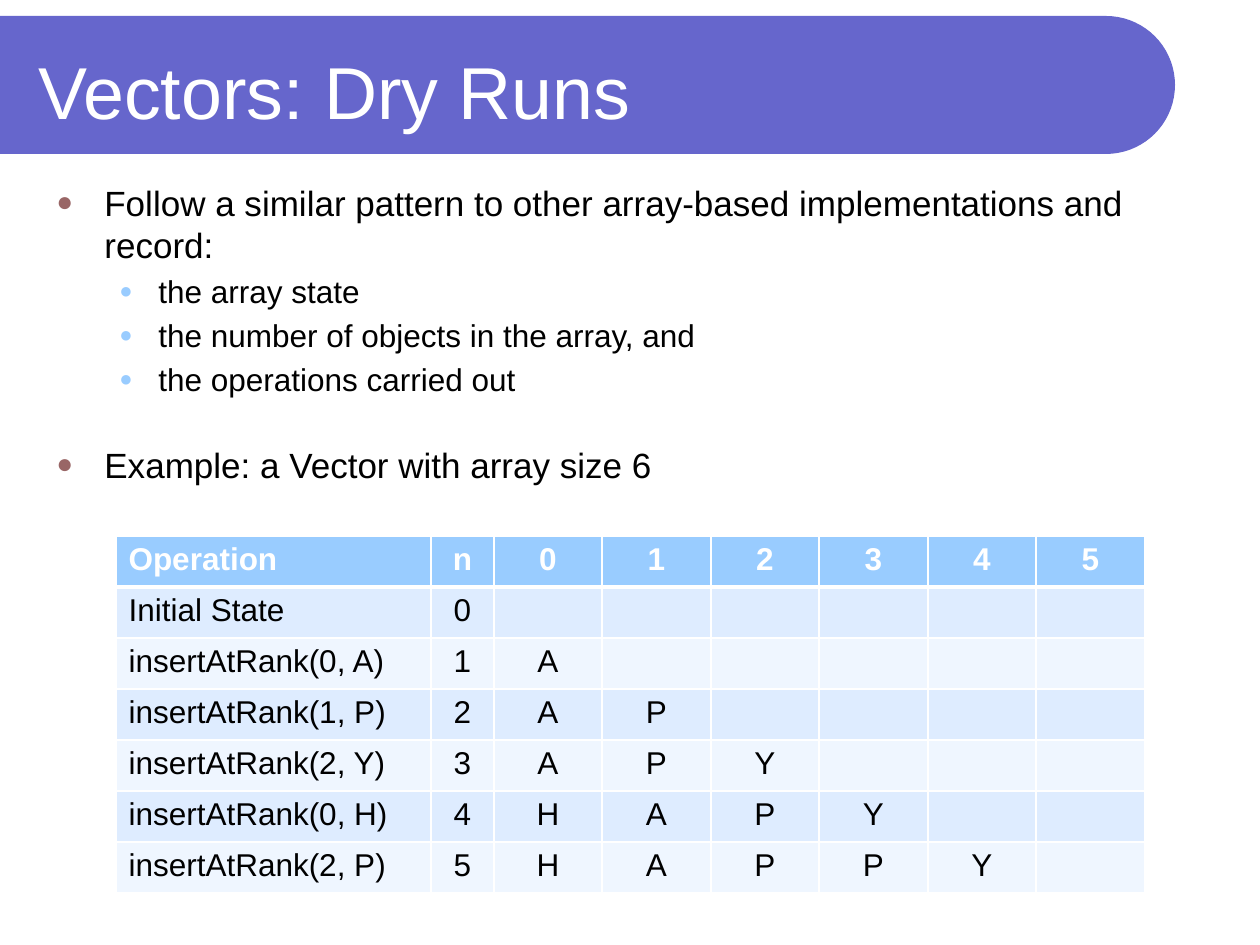
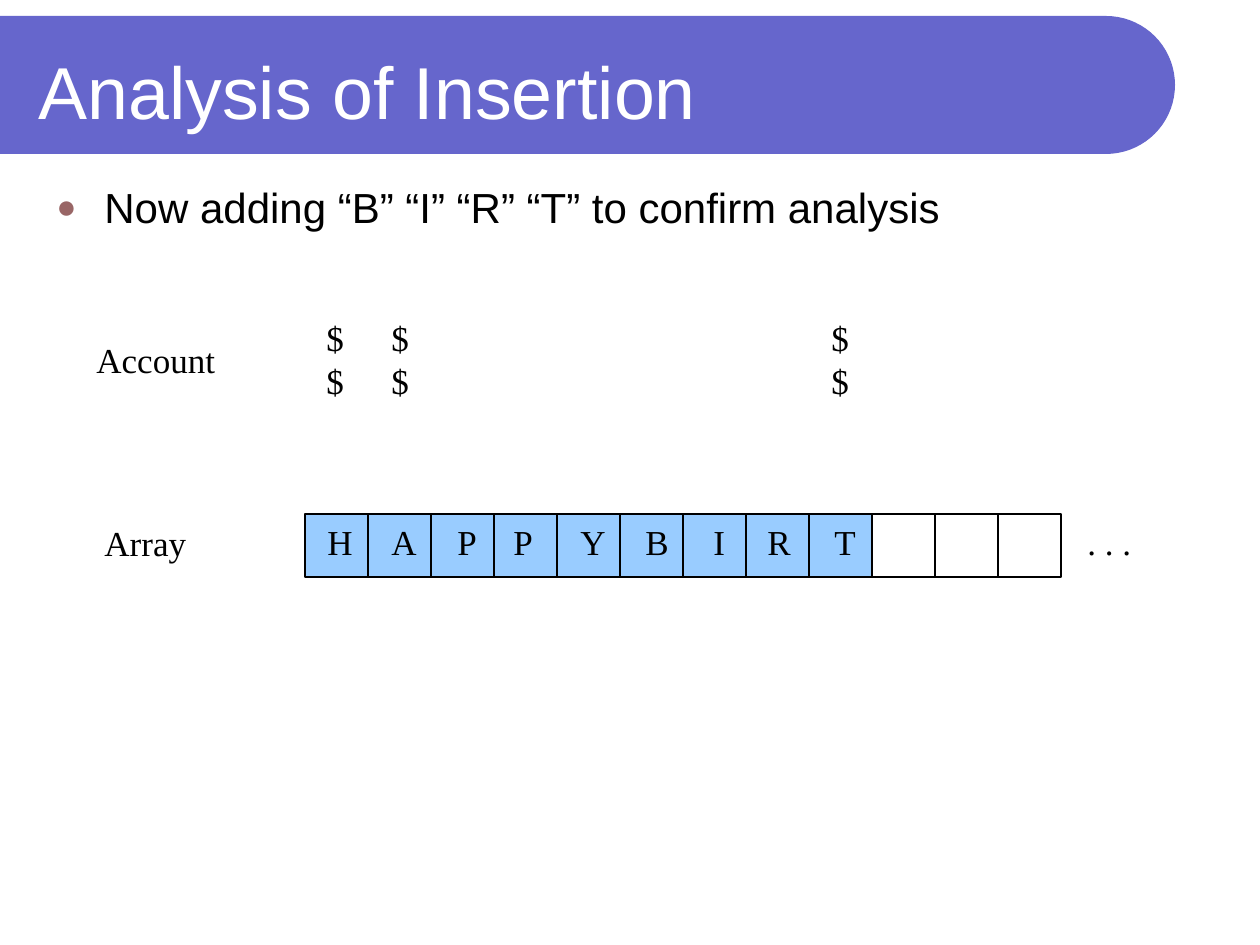
"""Build two slides on vector dry runs and the analysis of insertion."""
import math

from lxml import etree
from pptx import Presentation, util as u
from pptx.dml.color import RGBColor
from pptx.enum import shapes, text
from pptx.oxml import ns

C = {"band": "6666CC", "white": "FFFFFF", "black": "000000", "bullet": "996666",
     "sky": "99CCFF", "row_odd": "DEECFF", "row_even": "EFF6FF"}
SCALE = 914400 / 126
SANS, SERIF = "Arial", "Times New Roman"
BULLETS = [{"marL": 48, "indent": -48, "color": "bullet", "size": 80},
           {"marL": 102, "indent": -39, "color": "sky", "size": 70}]


def px(n):
    return u.Emu(round(n * SCALE))


def add_text(s, box, paras, font, color="black", before=0, spacing=None, **frame):
    tf = s.shapes.add_textbox(*map(px, box)).text_frame
    for key, value in {"word_wrap": True, **frame}.items():
        setattr(tf, key, value)
    for i, (line, size, level, *gap) in enumerate(paras):
        p = tf.add_paragraph() if i else tf.paragraphs[0]
        r = p.add_run()
        r.text = line
        for key, value in {"size": u.Pt(size), "name": font}.items():
            setattr(r.font, key, value)
        r.font.color.rgb = RGBColor.from_string(C[color])
        if spacing:
            p.line_spacing = spacing
        pPr = p._p.get_or_add_pPr()
        percent = gap[0] if gap else before
        if percent:
            spc = etree.SubElement(pPr, ns.qn("a:spcBef"))
            etree.SubElement(spc, ns.qn("a:spcPct"), val=str(percent * 1000))
        if level is not None:
            b = BULLETS[level]
            p.level = level
            for key in ("marL", "indent"):
                pPr.set(key, str(px(b[key])))
            clr = etree.SubElement(pPr, ns.qn("a:buClr"))
            etree.SubElement(clr, ns.qn("a:srgbClr"), val=C[b["color"]])
            etree.SubElement(pPr, ns.qn("a:buSzPct"), val=str(b["size"] * 1000))
            etree.SubElement(pPr, ns.qn("a:buFont"), typeface=font)
            etree.SubElement(pPr, ns.qn("a:buChar"), char="●")


prs = Presentation()
prs.slide_width, prs.slide_height = px(1260), px(945)

pages = [
    ("Vectors: Dry Runs", [
        ("Follow a similar pattern to other array-based implementations and record:", 20, 0),
        ("the array state", 18, 1),
        ("the number of objects in the array, and", 18, 1),
        ("the operations carried out", 18, 1),
        ("Example: a Vector with array size 6", 20, 0, 130)]),
    ("Analysis of Insertion", [
        ("Now adding “B” “I” “R” “T” to confirm analysis", 24, 0)]),
]
top, bottom, radius, arc_x = 16, 154, 69, 1106
arc = [(arc_x + radius * math.sin(math.radians(a)), top + radius - radius * math.cos(math.radians(a)))
       for a in range(0, 181, 5)]
for title, body in pages:
    s = prs.slides.add_slide(prs.slide_layouts[6])
    fb = s.shapes.build_freeform(0, px(top))
    fb.add_line_segments([(px(x), px(y)) for x, y in arc + [(0, bottom)]])
    band = fb.convert_to_shape()
    band.shadow.inherit = False
    band.fill.solid()
    band.fill.fore_color.rgb = RGBColor.from_string(C["band"])
    band.line.fill.background()
    add_text(s, (26, 27, 1105, 126), [(title, 42, None)], SANS, "white",
             vertical_anchor=text.MSO_ANCHOR.MIDDLE)
    add_text(s, (44, 175, 1171, 725), body, SANS, before=20)

dry_run, analysis = prs.slides

states = [("Initial State", ""), ("insertAtRank(0, A)", "A"), ("insertAtRank(1, P)", "AP"),
          ("insertAtRank(2, Y)", "APY"), ("insertAtRank(0, H)", "HAPY"),
          ("insertAtRank(2, P)", "HAPPY")]
rows = [["Operation", "n", *"012345"]]
rows += [[op, str(len(items)), *items.ljust(6)] for op, items in states]
widths = [315, 63] + [108, 109] * 3
row_h = 51
table = dry_run.shapes.add_table(len(rows), len(widths), px(116), px(536),
                                 px(sum(widths)), px(row_h * len(rows))).table
for col, width in zip(table.columns, widths):
    col.width = px(width)
for i, row in enumerate(rows):
    table.rows[i].height = px(row_h)
    fill = "sky" if i == 0 else "row_odd" if i % 2 else "row_even"
    for j, value in enumerate(row):
        cell = table.cell(i, j)
        cell.fill.solid()
        cell.fill.fore_color.rgb = RGBColor.from_string(C[fill])
        thick = {0: "B", 1: "T"}.get(i)
        for k, side in enumerate("LRTB"):
            width = u.Pt(3 if side == thick else 1)
            ln = etree.Element(ns.qn(f"a:ln{side}"), w=str(width))
            solid = etree.SubElement(ln, ns.qn("a:solidFill"))
            etree.SubElement(solid, ns.qn("a:srgbClr"), val=C["white"])
            cell._tc.get_or_add_tcPr().insert(k, ln)
        if not value.strip():
            continue
        p = cell.text_frame.paragraphs[0]
        p.alignment = text.PP_ALIGN.CENTER if j else text.PP_ALIGN.LEFT
        r = p.add_run()
        r.text = value
        for key, setting in {"size": u.Pt(18), "name": SANS, "bold": i == 0}.items():
            setattr(r.font, key, setting)
        r.font.color.rgb = RGBColor.from_string(C["black" if i else "white"])

letters = "HAPPYBIRT"
slots, side = 12, 63
for i in range(slots):
    sp = analysis.shapes.add_shape(shapes.MSO_SHAPE.RECTANGLE, px(305 + i * side), px(514),
                                   px(side), px(side))
    sp.shadow.inherit = False
    sp.fill.solid()
    sp.fill.fore_color.rgb = RGBColor.from_string(C["sky" if i < len(letters) else "white"])
    sp.line.color.rgb = RGBColor.from_string(C["black"])
    sp.line.width = u.Pt(0.75)

letter_x = [315, 379, 445, 501, 568, 633, 701, 755, 822]
labels = [("Account", 84, 347, 144), ("Array", 92, 530, 107), (". . .", 1075, 529, 69)]
labels += [(letter, x, 529, 50) for letter, x in zip(letters, letter_x)]
labels += [("$$", x, 325, 43) for x in (314, 379, 819)]
for label, x, y, width in labels:
    coins = label == "$$"
    lines = label if coins else [label]
    add_text(analysis, (x, y, width, 84 if coins else 38), [(line, 20, None) for line in lines],
             SERIF, before=50, spacing=0.6, word_wrap=coins,
             auto_size=text.MSO_AUTO_SIZE.SHAPE_TO_FIT_TEXT)

prs.save("out.pptx")
